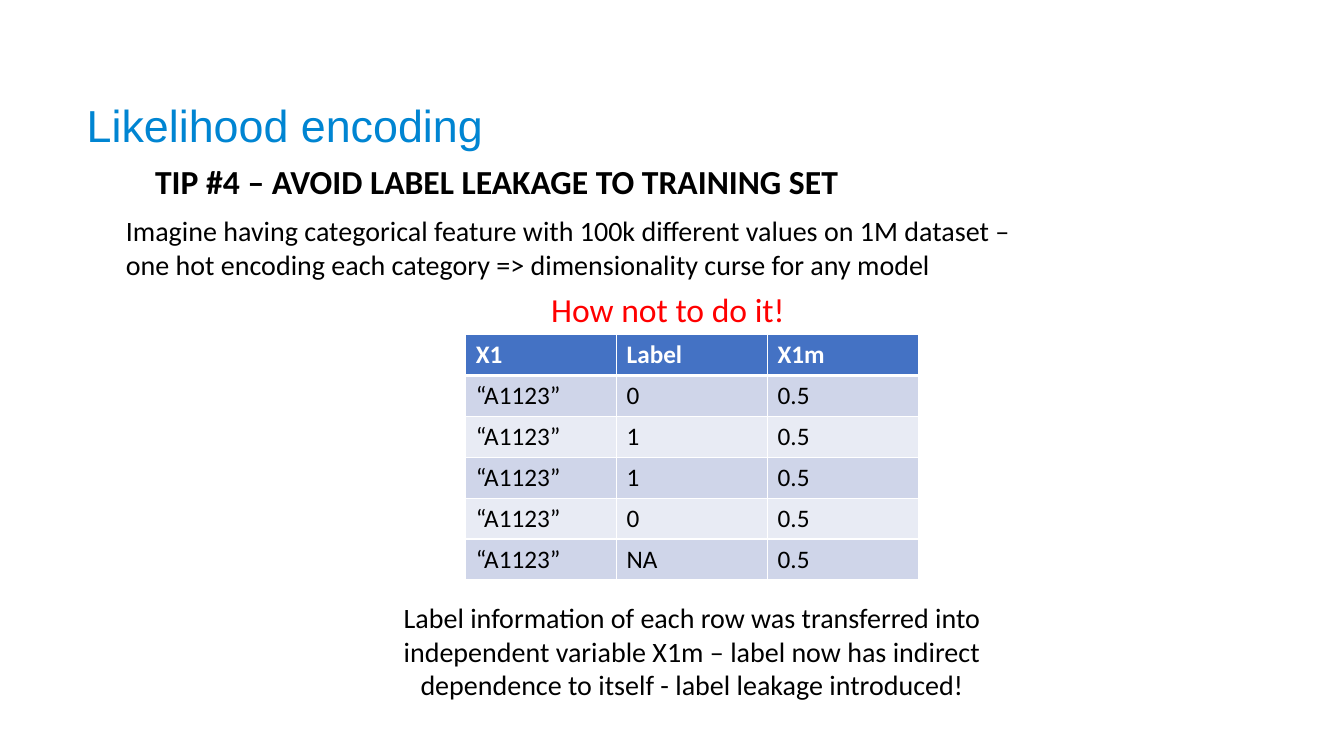
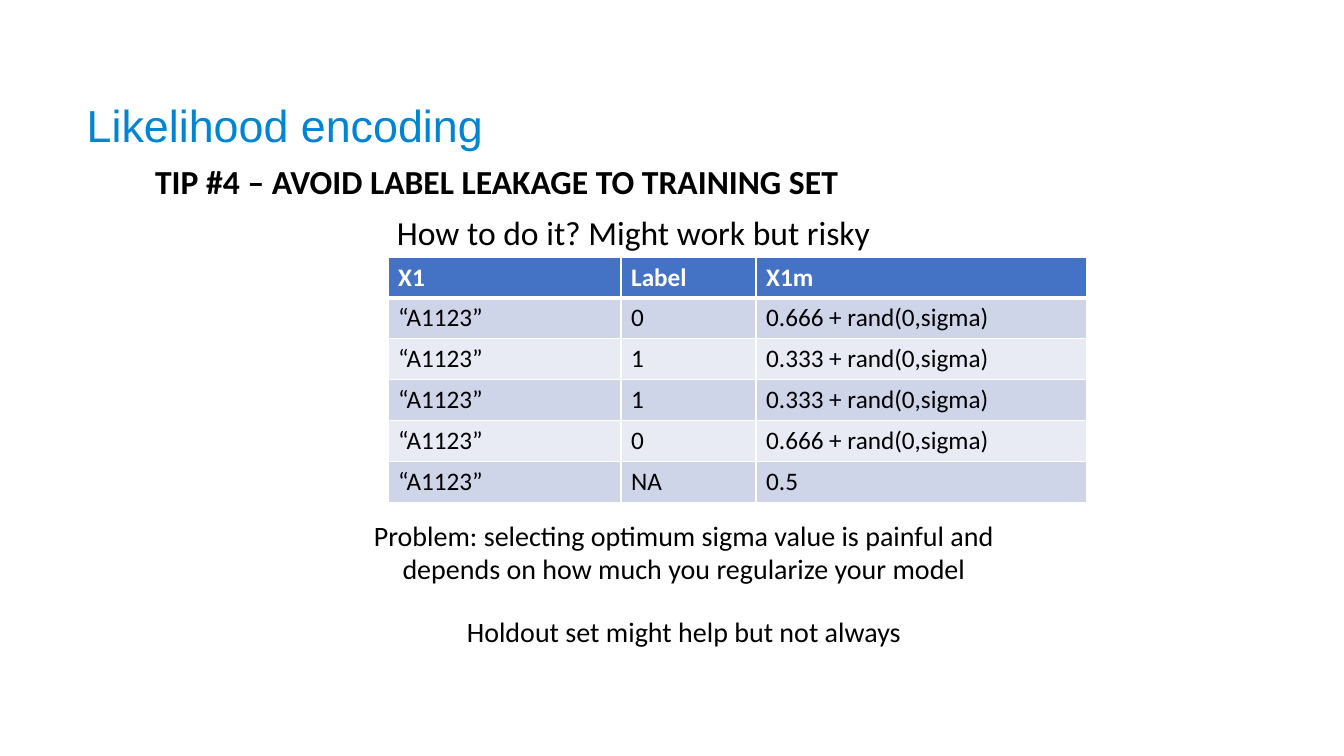
import pptx
import pptx.util
import pptx.dml.color
import pptx.enum.text
import pptx.oxml

RGB = pptx.dml.color.RGBColor
BLACK = RGB(0x00, 0x00, 0x00)
WHITE = RGB(0xFF, 0xFF, 0xFF)
RED = RGB(0xFF, 0x00, 0x00)
SKY = RGB(0x00, 0x85, 0xD2)
HEAD = RGB(0x44, 0x72, 0xC4)
BANDS = [RGB(0xE8, 0xEB, 0xF4), RGB(0xCF, 0xD5, 0xE9)]

LEFT = pptx.enum.text.PP_ALIGN.LEFT
MID = pptx.enum.text.PP_ALIGN.CENTER
TOP = pptx.enum.text.MSO_ANCHOR.TOP
FIXED = pptx.enum.text.MSO_AUTO_SIZE.NONE
NS = "http://schemas.openxmlformats.org/drawingml/2006/main"

deck = pptx.Presentation()
deck.slide_width = pptx.util.Inches(13.33)
deck.slide_height = pptx.util.Inches(7.5)


def place(left, top, width, height):
    """Turn percentages of the slide's size into lengths."""
    wide, high = deck.slide_width / 100, deck.slide_height / 100
    return [round(n) for n in (left * wide, top * high, width * wide, height * high)]


def write(frame, text, size=20, font="Calibri", color=BLACK, bold=False,
          align=LEFT, gap=0, pad=0.1):
    """Fill a frame, one paragraph a line; gap is the space between them."""
    frame.word_wrap = True
    frame.auto_size = FIXED
    frame.vertical_anchor = TOP
    frame.margin_left = frame.margin_right = pptx.util.Inches(pad)
    frame.margin_top = frame.margin_bottom = pptx.util.Inches(0.05)
    for i, line in enumerate(text.split("\n")):
        para = frame.add_paragraph() if i else frame.paragraphs[0]
        para.alignment = align
        para.space_before = pptx.util.Pt(gap if i else 0)
        run = para.add_run()
        run.text = line
        run.font.size = pptx.util.Pt(size)
        run.font.name = font
        run.font.bold = bold
        run.font.color.rgb = color


NOTE = dict(align=MID, pad=0.45)
LABELS = ["0", "1", "1", "0", "NA"]
HIGH = "0.666 + rand(0,sigma)"
LOW = "0.333 + rand(0,sigma)"
ROW = 5.4

# Each page: table corner, column widths, X1m values, then its texts
PAGES = [
    ((34.65, 44.27), [11.23] * 3, ["0.5"] * 5, [
        ("How not to do it!", (40.28, 37.6, 22.5, 6.67),
         dict(size=24, color=RED)),
        ("Label information of each row was transferred into independent "
         "variable X1m – label now has indirect dependence to itself - "
         "label leakage introduced!", (23.85, 78.8, 55.28, 14.67), NOTE),
        ("Imagine having categorical feature with 100k different values on "
         "1M dataset –\none hot encoding each category => dimensionality "
         "curse for any model", (8.63, 27.6, 83.93, 10.27), {}),
    ]),
    ((28.88, 34), [17.33, 10.05, 24.6], [HIGH, LOW, LOW, HIGH, "0.5"], [
        ("How to do it? Might work but risky", (28.8, 27.33, 44.18, 6.67),
         dict(size=24)),
        ("Problem: selecting optimum sigma value is painful and depends on "
         "how much you regularize your model\n"
         "Holdout set might help but not always",
         (23.25, 67.87, 55.28, 23.6), dict(NOTE, gap=21)),
    ]),
]
TIP = ("TIP #4 – AVOID LABEL LEAKAGE TO TRAINING SET",
       (10.8, 20.67, 83.55, 6.67), dict(size=24, bold=True))

for corner, widths, means, texts in PAGES:
    slide = deck.slides.add_slide(deck.slide_layouts[5])
    title = slide.shapes.title
    title.left, title.top, title.width, title.height = place(5.7, 12.27, 33, 8.4)
    write(title.text_frame, "Likelihood encoding", size=32, font="Arial", color=SKY)

    for text, spot, style in [TIP] + texts:
        box = slide.shapes.add_textbox(*place(*spot))
        write(box.text_frame, text, **style)

    rows = [("X1", "Label", "X1m")]
    rows += [("“A1123”", label, mean) for label, mean in zip(LABELS, means)]
    area = place(*corner, sum(widths), ROW * len(rows))
    grid = slide.shapes.add_table(len(rows), len(widths), *area).table
    for col, width in zip(grid.columns, widths):
        col.width = place(0, 0, width, 0)[2]
    for r, row in enumerate(rows):
        grid.rows[r].height = place(0, 0, 0, ROW)[3]
        for c, text in enumerate(row):
            cell = grid.cell(r, c)
            write(cell.text_frame, text, size=18, bold=r == 0,
                  color=BLACK if r else WHITE)
            cell.fill.solid()
            cell.fill.fore_color.rgb = BANDS[r % 2] if r else HEAD
            props = cell._tc.get_or_add_tcPr()
            for i, side in enumerate("LRTB"):
                thick = (r, side) in [(0, "B"), (1, "T")]
                width = pptx.util.Pt(3 if thick else 0.96)
                props.insert(i, pptx.oxml.parse_xml(
                    f'<a:ln{side} xmlns:a="{NS}" w="{width}"><a:solidFill>'
                    f'<a:srgbClr val="{WHITE}"/></a:solidFill></a:ln{side}>'))

deck.save("out.pptx")
